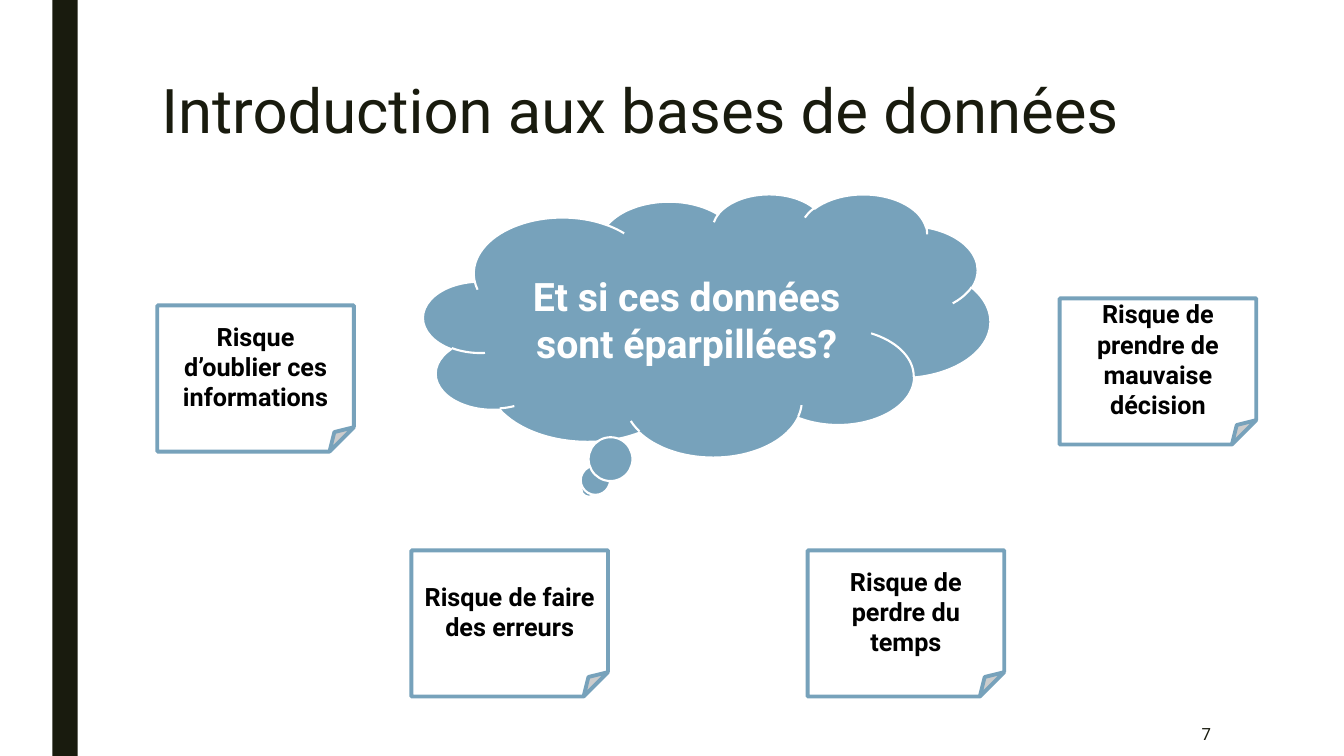
from typing import NamedTuple

from pptx import Presentation
from pptx.dml.color import RGBColor
from pptx.enum.shapes import MSO_SHAPE
from pptx.enum.text import MSO_ANCHOR, MSO_AUTO_SIZE, PP_ALIGN
from pptx.util import Inches, Pt

DARK = RGBColor(0x19, 0x1B, 0x0E)
BLUE = RGBColor(0x77, 0xA2, 0xBB)
WHITE = RGBColor(0xFF, 0xFF, 0xFF)
BLACK = RGBColor(0x00, 0x00, 0x00)
FONT = "Roboto"
NOTE_W, NOTE_H = 1.95, 1.45


class Note(NamedTuple):
    left: float
    top: float
    text: str


NOTES = [
    Note(1.56, 3.03, "Risque d’oublier ces informations"),
    Note(4.08, 5.46, "Risque de faire des erreurs"),
    Note(8.01, 5.46, "Risque de perdre du temps"),
    Note(10.51, 2.96, "Risque de prendre de mauvaise décision"),
]


def write(shape, text: str, *, size: float, color: RGBColor = DARK,
          bold: bool = False, align=PP_ALIGN.CENTER,
          anchor=MSO_ANCHOR.MIDDLE, spacing: float = 1.0) -> None:
    """Fill a shape with one formatted paragraph."""
    frame = shape.text_frame
    frame.word_wrap = True
    frame.auto_size = MSO_AUTO_SIZE.NONE
    frame.vertical_anchor = anchor
    para = frame.paragraphs[0]
    para.alignment = align
    para.line_spacing = spacing
    run = para.add_run()
    run.text = text
    run.font.name = FONT
    run.font.size = Pt(size)
    run.font.bold = bold
    run.font.color.rgb = color


def draw(slide, kind, left: float, top: float, width: float, height: float,
         fill: RGBColor, line: RGBColor | None = None, weight: float = 0):
    """Add a flat preset shape, with an outline if a line colour is given."""
    shape = slide.shapes.add_shape(
        kind, Inches(left), Inches(top), Inches(width), Inches(height))
    shape.shadow.inherit = False
    shape.fill.solid()
    shape.fill.fore_color.rgb = fill
    if line is None:
        shape.line.fill.background()
    else:
        shape.line.color.rgb = line
        shape.line.width = Pt(weight)
    return shape


def main() -> None:
    deck = Presentation()
    deck.slide_width, deck.slide_height = Inches(13.33), Inches(7.5)
    slide = deck.slides.add_slide(deck.slide_layouts[5])

    # Side band
    draw(slide, MSO_SHAPE.RECTANGLE, 0.52, 0, 0.25, 7.5, DARK)

    # Title
    title = slide.shapes.title
    title.left, title.top = Inches(1.5), Inches(0.75)
    title.width, title.height = Inches(10.5), Inches(1.62)
    write(title, "Introduction aux bases de données", size=44,
          align=PP_ALIGN.LEFT, anchor=MSO_ANCHOR.TOP, spacing=0.89)

    # Page number
    page = slide.shapes.add_textbox(
        Inches(10.36), Inches(7.06), Inches(1.75), Inches(0.44))
    write(page, "7", size=12, align=PP_ALIGN.RIGHT)

    # Central question
    cloud = draw(slide, MSO_SHAPE.CLOUD_CALLOUT, 4.2, 1.92, 5.62, 2.61,
                 BLUE, WHITE, 1.5)
    write(cloud, "Et si ces données sont éparpillées?", size=28,
          color=WHITE, bold=True)

    # Risk notes
    for note in NOTES:
        card = draw(slide, MSO_SHAPE.FOLDED_CORNER, note.left, note.top,
                    NOTE_W, NOTE_H, WHITE, BLUE, 2.75)
        write(card, note.text, size=18, color=BLACK, bold=True)

    deck.save("out.pptx")


if __name__ == "__main__":
    main()
